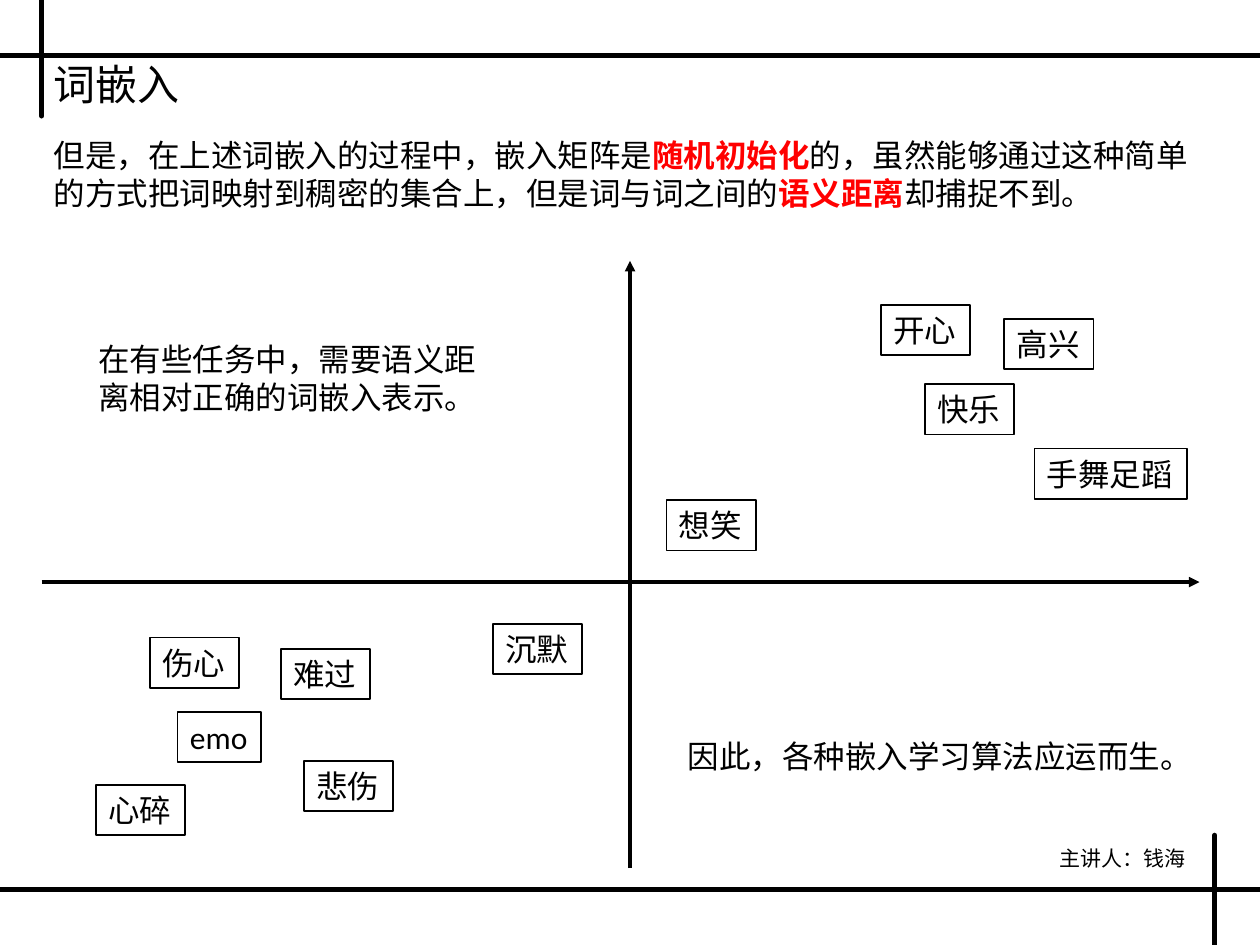
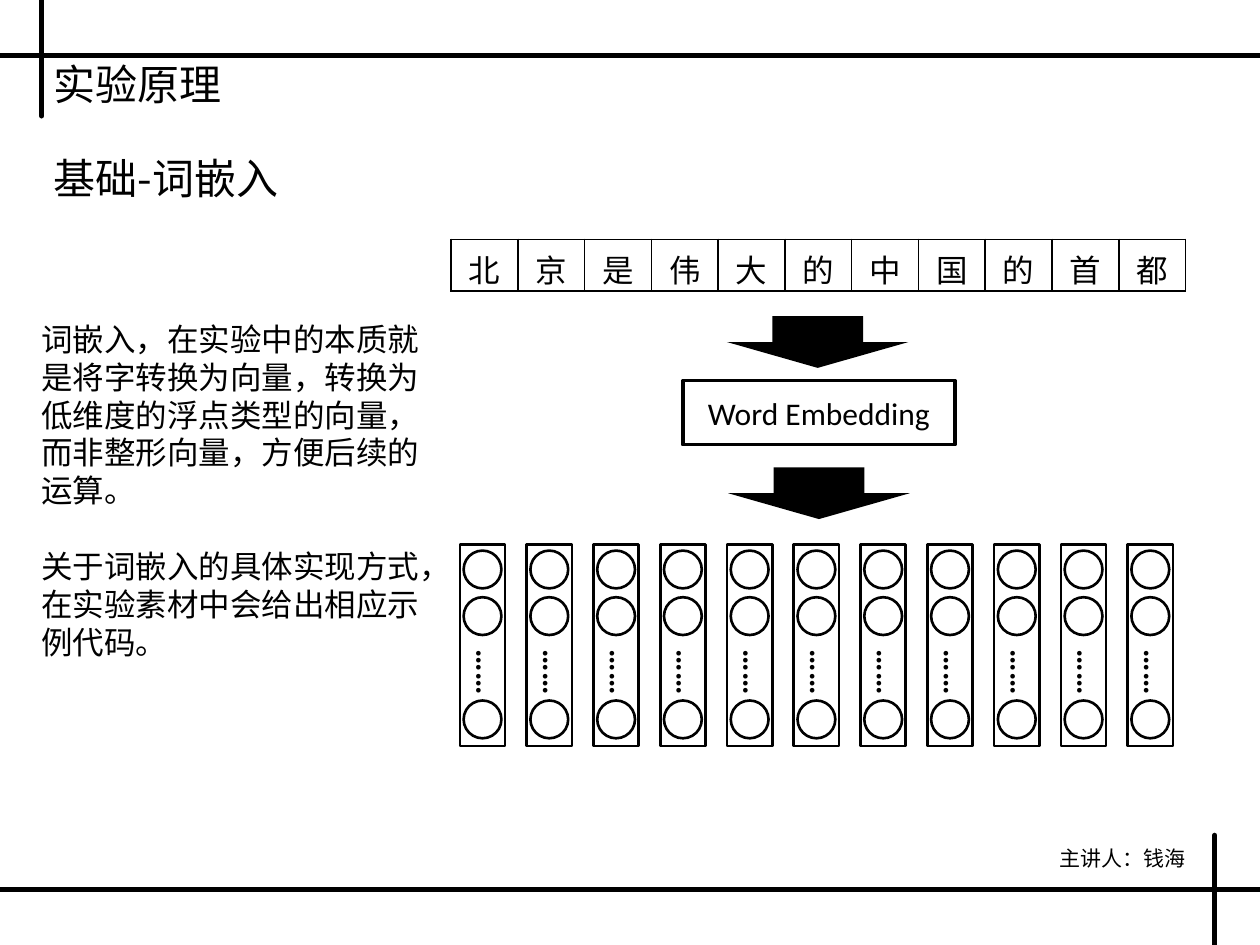
from dataclasses import dataclass

from lxml import etree
from pptx import Presentation
from pptx import util as u
from pptx.dml.color import RGBColor
from pptx.enum import shapes, text
from pptx.oxml import ns


@dataclass(frozen=True)
class Theme:
    ink: str = "000000"
    accent: str = "FF0000"
    han: str = "Noto Sans CJK SC"
    latin: str = "Calibri"
    title: int = 24
    body: int = 18
    footer: int = 12
    frame: float = 3
    axis: float = 2
    outline: float = 1.5
    hairline: float = 1


THEME = Theme()
COLUMNS, ROWS = 100, 75
WIDTH, HEIGHT = u.Inches(10), u.Inches(7.5)
SHAPE = shapes.MSO_SHAPE
ALIGN = text.PP_ALIGN
ANCHOR = text.MSO_ANCHOR


def across(columns):
    return round(WIDTH * columns / COLUMNS)


def down(rows):
    return round(HEIGHT * rows / ROWS)


def area(left, top, width, height):
    return across(left), down(top), across(width), down(height)


def write(frame, content, font=THEME.han, size=THEME.body, bold=False,
          align=ALIGN.LEFT, spacing=None, gap=0):
    paragraphs = [content] if isinstance(content, str) else content
    for index, spans in enumerate(paragraphs):
        para = frame.paragraphs[0] if index == 0 else frame.add_paragraph()
        para.alignment = align
        if spacing:
            para.line_spacing = spacing
        if index:
            para.space_before = u.Pt(gap)
        for part in [spans] if isinstance(spans, str) else spans:
            words, stressed = (part, False) if isinstance(part, str) else part
            span = para.add_run()
            span.text = words
            span.font.name = font
            span.font.size = u.Pt(size)
            span.font.bold = bold or stressed
            color = THEME.accent if stressed else THEME.ink
            span.font.color.rgb = RGBColor.from_string(color)


def stress(words):
    return words, True


class Sketch:
    def __init__(self, deck, theme):
        self.deck = deck
        self.theme = theme
        self.ink = RGBColor.from_string(theme.ink)
        self.page = None

    def start(self, title):
        self.page = self.deck.slides.add_slide(self.deck.slide_layouts[6])
        for ends in ((3.3, 0, 3.3, 9.2), (0, 4.4, COLUMNS, 4.4),
                     (96.4, 66.3, 96.4, ROWS), (0, 70.6, COLUMNS, 70.6)):
            self.line(*ends, weight=self.theme.frame, cap="rnd")
        self.label((83.1, 66.6, 12.1, 3), "主讲人：钱海", wrap=False,
                   size=self.theme.footer)
        self.label((3.3, 4.6, 78.8, 4.6), title, size=self.theme.title,
                   spacing=0.9)

    def line(self, x1, y1, x2, y2, weight, cap=None, arrow=False):
        line = self.page.shapes.add_connector(
            shapes.MSO_CONNECTOR.STRAIGHT, across(x1), down(y1),
            across(x2), down(y2))
        line.line.color.rgb = self.ink
        line.line.width = u.Pt(weight)
        stroke = line.line._get_or_add_ln()
        if cap:
            stroke.set("cap", cap)
        if arrow:
            etree.SubElement(stroke, ns.qn("a:tailEnd"), type="triangle")
        etree.SubElement(line._element.spPr, ns.qn("a:effectLst"))

    def label(self, place, content, wrap=True, vertical=False, **style):
        box = self.page.shapes.add_textbox(*area(*place))
        frame = box.text_frame
        frame.word_wrap = wrap
        if vertical:
            frame._txBody.bodyPr.set("vert", "eaVert")
        write(frame, content, **style)

    def shape(self, kind, place, weight=None, content=None,
              anchor=ANCHOR.MIDDLE, wrap=True, **style):
        shape = self.page.shapes.add_shape(kind, *area(*place))
        shape.shadow.inherit = False
        if weight:
            shape.fill.background()
            shape.line.color.rgb = self.ink
            shape.line.width = u.Pt(weight)
        else:
            shape.fill.solid()
            shape.fill.fore_color.rgb = self.ink
            shape.line.fill.background()
        if content:
            shape.text_frame.word_wrap = wrap
            shape.text_frame.vertical_anchor = anchor
            write(shape.text_frame, content, font=self.theme.latin, **style)

    def word(self, left, top, content, width=7.1):
        self.shape(SHAPE.RECTANGLE, (left, top, width, 4), self.theme.hairline,
                   content, anchor=ANCHOR.TOP, wrap=False)

    def character_row(self, place, characters):
        graphic = self.page.shapes.add_table(1, len(characters), *area(*place))
        table = graphic.table
        table.first_row = table.horz_banding = False
        for column, character in enumerate(characters):
            table.columns[column].width = across(place[2] / len(characters))
            cell = table.cell(0, column)
            cell.fill.background()
            cell.vertical_anchor = ANCHOR.MIDDLE
            write(cell.text_frame, character, font=self.theme.latin,
                  align=ALIGN.CENTER)
            self.border(cell)

    def border(self, cell):
        properties = cell._tc.get_or_add_tcPr()
        for index, side in enumerate(("lnL", "lnR", "lnT", "lnB")):
            edge = etree.Element(ns.qn("a:" + side),
                                 w=str(u.Pt(self.theme.hairline)))
            fill = etree.SubElement(edge, ns.qn("a:solidFill"))
            etree.SubElement(fill, ns.qn("a:srgbClr"), val=self.theme.ink)
            properties.insert(index, edge)

    def vector(self, left):
        weight = self.theme.outline
        self.shape(SHAPE.RECTANGLE, (left, 43.2, 3.6, 16), weight)
        for top in (43.7, 47.4, 55.6):
            self.shape(SHAPE.OVAL, (left + 0.3, top, 3, 3), weight)
        self.label((left - 0.7, 50.6, 5, 5.1), "……", wrap=False, vertical=True,
                   font=self.theme.latin, bold=True)


def semantic_distance(sketch):
    sketch.start("词嵌入")
    sketch.label((3.3, 10.3, 93.7, 7.1), [[
        "但是，在上述词嵌入的过程中，嵌入矩阵是", stress("随机初始化"),
        "的，虽然能够通过这种简单的方式把词映射到稠密的集合上，但是词与词之间的",
        stress("语义距离"), "却捕捉不到。"]])
    for left, top, content in (
            (69.9, 24.2, "开心"), (73.4, 30.5, "快乐"), (79.7, 25.3, "高兴"),
            (52.9, 39.7, "想笑"), (11.9, 50.6, "伤心"), (22.3, 51.5, "难过"),
            (24.1, 60.4, "悲伤"), (7.6, 62.3, "心碎"), (39.1, 49.5, "沉默")):
        sketch.word(left, top, content)
    sketch.word(82.1, 35.6, "手舞足蹈", width=12.1)
    sketch.word(14.1, 56.5, "emo", width=6.6)
    for ends in ((3.3, 46.2, 95.2, 46.2), (50, 68.9, 50, 20.7)):
        sketch.line(*ends, weight=sketch.theme.axis, arrow=True)
    sketch.label((6.8, 26.5, 34.2, 7.1),
                 "在有些任务中，需要语义距离相对正确的词嵌入表示。")
    sketch.label((53.6, 58, 41.5, 4), "因此，各种嵌入学习算法应运而生。")


def embedding_principle(sketch):
    sentence = "北京是伟大的中国的首都"
    sketch.start("实验原理")
    sketch.label((3.3, 11.6, 20.3, 5), "基础-词嵌入", size=sketch.theme.title)
    sketch.character_row((35.8, 19, 58.3, 4.1), sentence)
    for left, top in ((57.7, 25.1), (57.8, 37.1)):
        sketch.shape(SHAPE.DOWN_ARROW, (left, top, 14.4, 4.1))
    sketch.shape(SHAPE.RECTANGLE, (54.2, 30.2, 21.6, 5.1), sketch.theme.axis,
                 "Word Embedding", align=ALIGN.CENTER)
    for index in range(len(sentence)):
        sketch.vector(36.5 + 5.3 * index)
    sketch.label((2.3, 24.9, 32.1, 28.3), [
        "词嵌入，在实验中的本质就是将字转换为向量，转换为低维度的浮点类型的向量，"
        "而非整形向量，方便后续的运算。",
        "关于词嵌入的具体实现方式，在实验素材中会给出相应示例代码。"], gap=22)


def main():
    deck = Presentation()
    deck.slide_width, deck.slide_height = WIDTH, HEIGHT
    sketch = Sketch(deck, THEME)
    semantic_distance(sketch)
    embedding_principle(sketch)
    deck.save("out.pptx")


if __name__ == "__main__":
    main()
